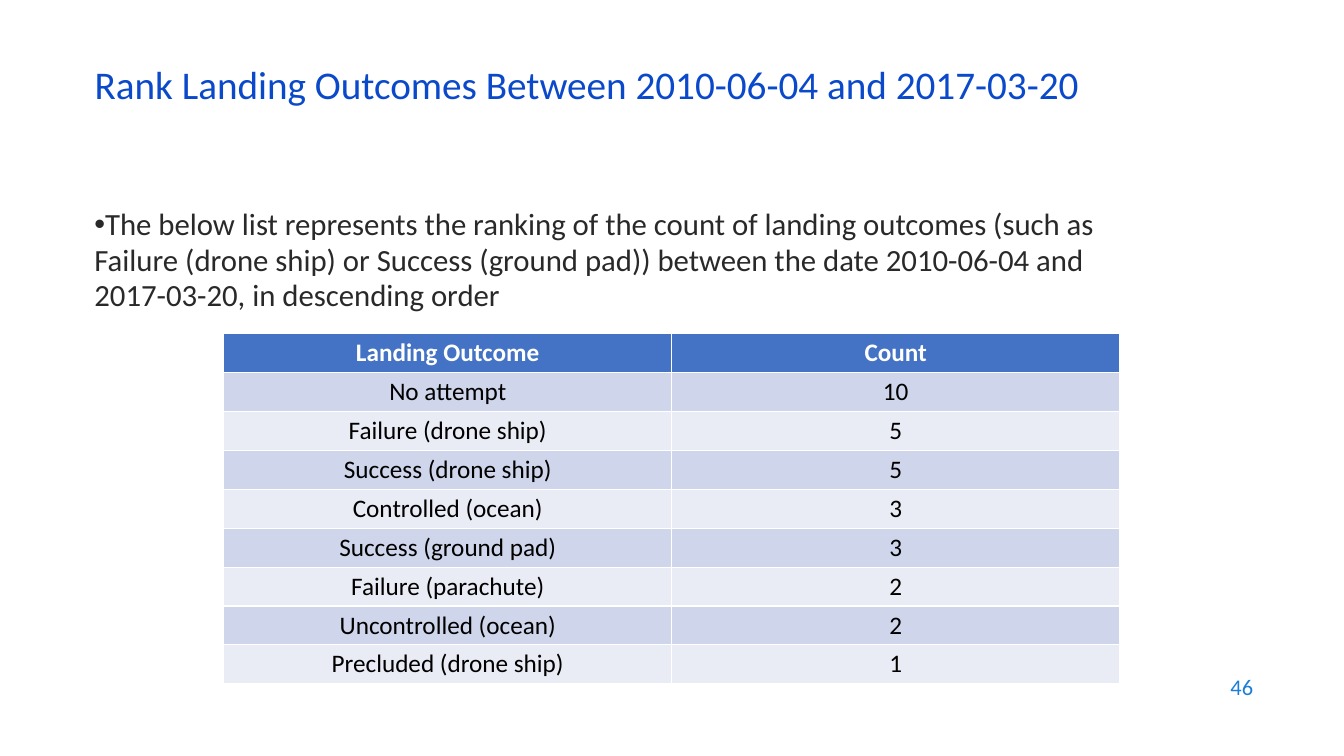
from lxml import etree
from pptx import Presentation
from pptx import util as u
from pptx.dml.color import RGBColor
from pptx.enum import text
from pptx.oxml.ns import qn

TITLE_BLUE = RGBColor(0x0B, 0x49, 0xCB)
NUMBER_BLUE = RGBColor(0x1C, 0x7D, 0xDB)
BODY_GREY = RGBColor(0x29, 0x29, 0x29)
BLACK = RGBColor(0, 0, 0)
WHITE = RGBColor(0xFF, 0xFF, 0xFF)
HEADER_FILL = RGBColor(0x44, 0x72, 0xC4)
BAND_FILLS = RGBColor(0xE9, 0xEB, 0xF5), RGBColor(0xCF, 0xD5, 0xEA)

OUTCOMES = [
    ("Landing Outcome", "Count"),
    ("No attempt", "10"),
    ("Failure (drone ship)", "5"),
    ("Success (drone ship)", "5"),
    ("Controlled (ocean)", "3"),
    ("Success (ground pad)", "3"),
    ("Failure (parachute)", "2"),
    ("Uncontrolled (ocean)", "2"),
    ("Precluded (drone ship)", "1"),
]


class SlideBuilder:
    font = "Calibri"

    def __init__(self, prs):
        self.s = prs.slides.add_slide(prs.slide_layouts[5])

    def add_text(self, tf, words, size, color, align=text.PP_ALIGN.LEFT, bold=False):
        p = tf.paragraphs[0]
        p.alignment = align
        r = p.add_run()
        r.text = words
        r.font.name = self.font
        r.font.size = u.Pt(size)
        r.font.bold = bold
        r.font.color.rgb = color
        return p

    def title(self, words, left, top, width, height):
        sp = self.s.shapes.title
        sp.left, sp.top, sp.width, sp.height = map(u.Cm, (left, top, width, height))
        tf = sp.text_frame
        tf.auto_size = text.MSO_AUTO_SIZE.NONE
        tf.vertical_anchor = text.MSO_ANCHOR.MIDDLE
        self.add_text(tf, words, 28, TITLE_BLUE).line_spacing = 0.7

    def box(self, left, top, width, height, anchor):
        sp = self.s.shapes.add_textbox(*map(u.Cm, (left, top, width, height)))
        tf = sp.text_frame
        tf.word_wrap = True
        tf.vertical_anchor = anchor
        return tf

    def bullet(self, words, *place):
        tf = self.box(*place, text.MSO_ANCHOR.TOP)
        pPr = tf.paragraphs[0]._p.get_or_add_pPr()
        pPr.set("marL", "0")
        pPr.set("indent", "0")
        etree.SubElement(pPr, qn("a:buFont")).set("typeface", "Arial")
        etree.SubElement(pPr, qn("a:buChar")).set("char", "•")
        self.add_text(tf, words, 22, BODY_GREY).line_spacing = 0.97

    def number(self, words, *place):
        tf = self.box(*place, text.MSO_ANCHOR.MIDDLE)
        self.add_text(tf, words, 16, NUMBER_BLUE, text.PP_ALIGN.RIGHT)

    def table(self, rows, left, top, width, row_height):
        frame = self.s.shapes.add_table(
            len(rows), len(rows[0]), u.Cm(left), u.Cm(top),
            u.Cm(width), u.Cm(row_height * len(rows)))
        for i, row in enumerate(rows):
            header = i == 0
            for j, words in enumerate(row):
                cell = frame.table.cell(i, j)
                cell.fill.solid()
                cell.fill.fore_color.rgb = HEADER_FILL if header else BAND_FILLS[i % 2]
                cell.vertical_anchor = text.MSO_ANCHOR.MIDDLE
                cell.margin_left = cell.margin_right = u.Cm(0.1)
                cell.margin_top = cell.margin_bottom = u.Cm(0.1)
                self.add_text(cell.text_frame, words, 18, WHITE if header else BLACK,
                              text.PP_ALIGN.CENTER, header)


def main():
    prs = Presentation()
    prs.slide_width, prs.slide_height = u.Cm(33.87), u.Cm(19.05)
    slide = SlideBuilder(prs)
    slide.number("46", 24.21, 16.74, 7.62, 1.12)
    slide.bullet(
        "The below list represents the ranking of the count of landing outcomes "
        "(such as Failure (drone ship) or Success (ground pad)) between the date "
        "2010-06-04 and 2017-03-20, in descending order",
        2.13, 5.08, 27.08, 12.09)
    slide.title("Rank Landing Outcomes Between 2010-06-04 and 2017-03-20",
                2.13, 1.5, 29.21, 1.52)
    slide.table(OUTCOMES, 5.64, 8.41, 22.58, 0.98)
    prs.save("out.pptx")


if __name__ == "__main__":
    main()
